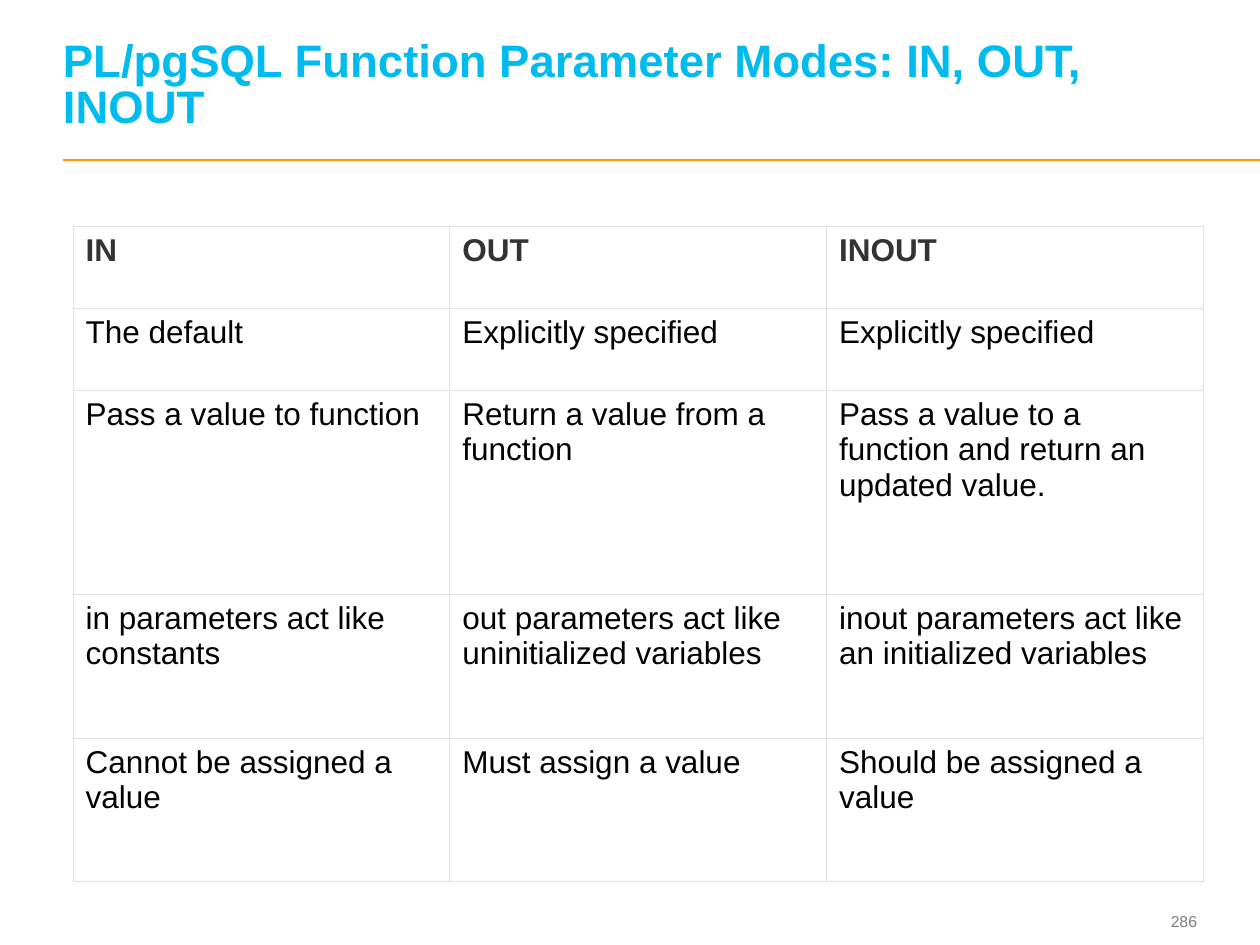
from dataclasses import dataclass

import pptx
import pptx.dml.color
import pptx.enum.shapes
import pptx.enum.text
import pptx.oxml
import pptx.oxml.ns
import pptx.util

Align = pptx.enum.text.PP_ALIGN
Anchor = pptx.enum.text.MSO_ANCHOR


@dataclass(frozen=True)
class Theme:
    font: str = "Arial"
    title: str = "00BBEE"
    rule: str = "FF9900"
    header: str = "333333"
    body: str = "000000"
    muted: str = "7F7F7F"
    border: str = "DEE2E6"
    paper: str = "FFFFFF"
    title_size: int = 26
    table_size: int = 18
    number_size: int = 9
    rule_width: float = 1
    border_width: float = 0.6


THEME = Theme()
GRID_COLUMNS, GRID_ROWS = 100, 75
PARAMETER_MODES = [
    ("IN", "OUT", "INOUT"),
    ("The default", "Explicitly specified", "Explicitly specified"),
    (
        "Pass a value to function",
        "Return a value from a function",
        "Pass a value to a function and return an updated value.",
    ),
    (
        "in parameters act like constants",
        "out parameters act like uninitialized variables",
        "inout parameters act like an initialized variables",
    ),
    ("Cannot be assigned a value", "Must assign a value", "Should be assigned a value"),
]
ROW_HEIGHTS = [6.5, 6.5, 16.2, 11.4, 11.4]


def rgb(color):
    return pptx.dml.color.RGBColor.from_string(color)


def write_text(frame, text, *, size, color, bold=False, align=Align.LEFT, line_spacing=None):
    frame.word_wrap = True
    paragraph = frame.paragraphs[0]
    paragraph.alignment = align
    if line_spacing:
        paragraph.line_spacing = pptx.util.Pt(line_spacing)
    run = paragraph.add_run()
    run.text = text
    run.font.name = THEME.font
    run.font.size = pptx.util.Pt(size)
    run.font.bold = bold
    run.font.color.rgb = rgb(color)


class SlideBuilder:
    def __init__(self, presentation, theme):
        self.theme = theme
        self.column = presentation.slide_width / GRID_COLUMNS
        self.row = presentation.slide_height / GRID_ROWS
        self.slide = presentation.slides.add_slide(presentation.slide_layouts[6])
        background = self.slide.background.fill
        background.solid()
        background.fore_color.rgb = rgb(theme.paper)

    def place(self, left, top, width, height):
        return (
            round(left * self.column),
            round(top * self.row),
            round(width * self.column),
            round(height * self.row),
        )

    def text(self, box, text, anchor, **text_format):
        frame = self.slide.shapes.add_textbox(*self.place(*box)).text_frame
        frame.margin_left = frame.margin_right = frame.margin_top = frame.margin_bottom = 0
        frame.vertical_anchor = anchor
        write_text(frame, text, **text_format)

    def rule(self, start, end):
        connector = self.slide.shapes.add_connector(
            pptx.enum.shapes.MSO_CONNECTOR.STRAIGHT, *self.place(*start, *end)
        )
        connector.line.color.rgb = rgb(self.theme.rule)
        connector.line.width = pptx.util.Pt(self.theme.rule_width)
        properties = connector._element.spPr
        properties.append(properties.makeelement(pptx.oxml.ns.qn("a:effectLst"), {}))

    def border(self, cell):
        properties = cell._tc.get_or_add_tcPr()
        width = pptx.util.Pt(self.theme.border_width)
        for position, side in enumerate(("lnL", "lnR", "lnT", "lnB")):
            line = pptx.oxml.parse_xml(
                f'<a:{side} {pptx.oxml.ns.nsdecls("a")} w="{width}">'
                f'<a:solidFill><a:srgbClr val="{self.theme.border}"/></a:solidFill></a:{side}>'
            )
            properties.insert(position, line)

    def table(self, box, rows, heights):
        shape = self.slide.shapes.add_table(len(rows), len(rows[0]), *self.place(*box))
        table = shape.table
        table.horz_banding = False
        for table_row, height in zip(table.rows, heights):
            table_row.height = round(height * self.row)
        for row_index, row in enumerate(rows):
            is_header = row_index == 0
            for column_index, text in enumerate(row):
                cell = table.cell(row_index, column_index)
                cell.fill.solid()
                cell.fill.fore_color.rgb = rgb(self.theme.paper)
                self.border(cell)
                write_text(
                    cell.text_frame,
                    text,
                    size=self.theme.table_size,
                    color=self.theme.header if is_header else self.theme.body,
                    bold=is_header,
                )


def main():
    presentation = pptx.Presentation()
    presentation.slide_width = pptx.util.Inches(10)
    presentation.slide_height = pptx.util.Inches(7.5)
    builder = SlideBuilder(presentation, THEME)
    builder.rule((5, 12.7), (GRID_COLUMNS, 12.7))
    builder.text(
        (89.1, 71.8, 5.9, 2.7),
        "286",
        Anchor.MIDDLE,
        size=THEME.number_size,
        color=THEME.muted,
        align=Align.RIGHT,
    )
    builder.text(
        (5, 1.9, 89.7, 8.6),
        "PL/pgSQL Function Parameter Modes: IN, OUT, INOUT",
        Anchor.BOTTOM,
        size=THEME.title_size,
        color=THEME.title,
        bold=True,
        line_spacing=THEME.title_size,
    )
    builder.table((5.8, 18, 89.7, sum(ROW_HEIGHTS)), PARAMETER_MODES, ROW_HEIGHTS)
    presentation.save("out.pptx")


if __name__ == "__main__":
    main()
